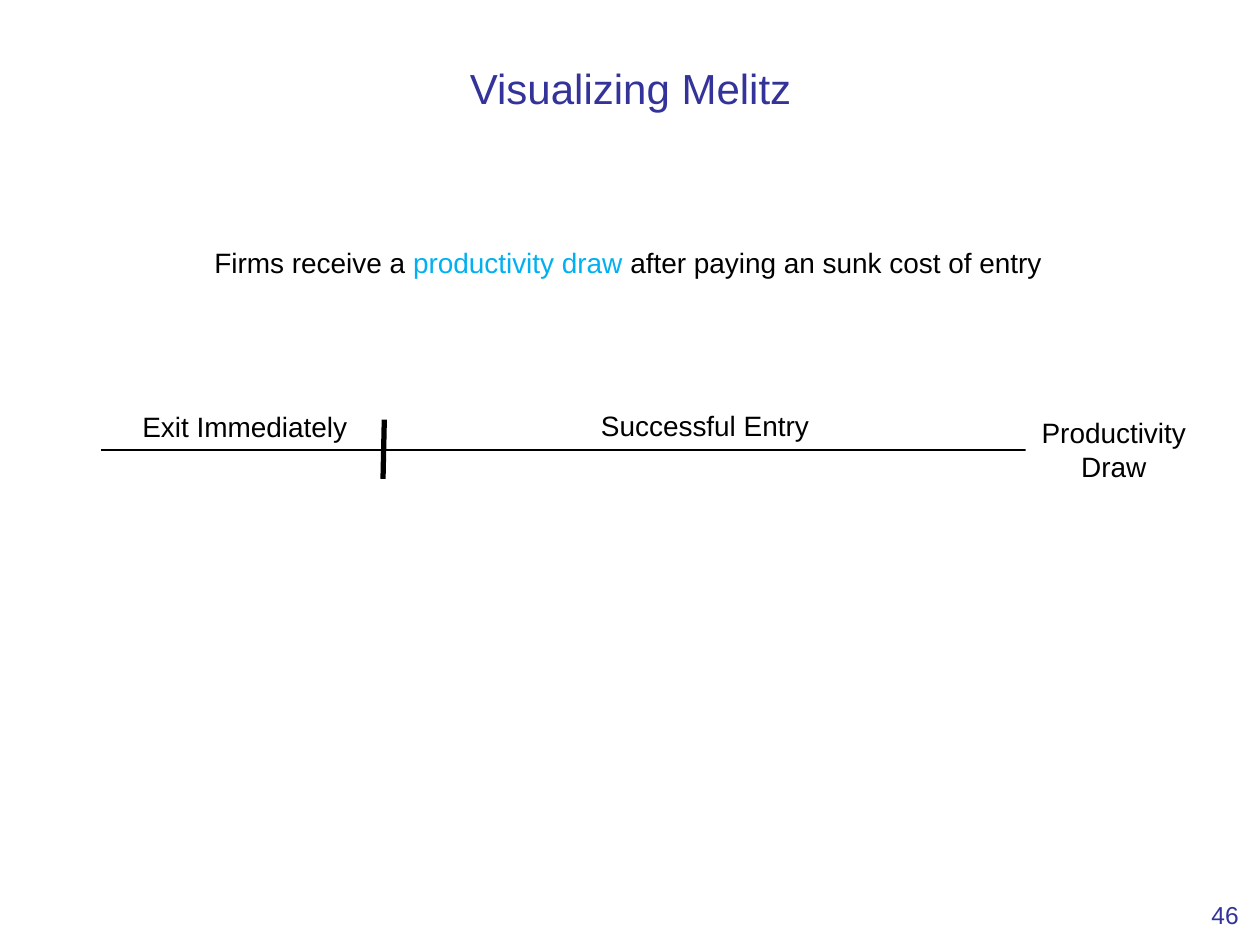
from pptx import Presentation
from pptx.dml.color import RGBColor
from pptx.enum.shapes import MSO_CONNECTOR, MSO_SHAPE
from pptx.enum.text import MSO_ANCHOR as ANCHOR, PP_ALIGN as ALIGN
from pptx.oxml.ns import qn
from pptx.util import Inches, Pt
from lxml.etree import SubElement

WIDTH, HEIGHT = 10, 7.5
BLACK, NAVY, SKY, WHITE = "000000", "333399", "00B0F0", "FFFFFF"
AXIS_Y = 3.57


def rgb(code):
    """Return the colour for a hex string."""
    return RGBColor.from_string(code)


def write(sp, *runs, size=16, color=BLACK, align=ALIGN.CENTER,
          anchor=ANCHOR.TOP, wrap=False, insets=(0.05, 0.05, 0.05, 0.05)):
    """Write runs, each a string or a (string, colour) pair, into a shape."""
    tf = sp.text_frame
    tf.word_wrap, tf.vertical_anchor = wrap, anchor
    (tf.margin_left, tf.margin_top,
     tf.margin_right, tf.margin_bottom) = map(Inches, insets)
    p = tf.paragraphs[0]
    p.alignment = align
    for run in runs:
        text, code = (run, color) if isinstance(run, str) else run
        r = p.add_run()
        r.text = text
        r.font.name, r.font.size = "Arial", Pt(size)
        r.font.color.rgb = rgb(code)


def add_label(s, box, *runs, **fmt):
    """Add a text box with formatted runs."""
    write(s.shapes.add_textbox(*map(Inches, box)), *runs, **fmt)


def add_plate(s, box, text):
    """Add a white rectangle with a wrapped label."""
    sp = s.shapes.add_shape(MSO_SHAPE.RECTANGLE, *map(Inches, box))
    sp.shadow.inherit = False
    sp.fill.solid()
    sp.fill.fore_color.rgb = rgb(WHITE)
    sp.line.fill.background()
    write(sp, text, wrap=True)


def add_line(s, start, end, weight):
    """Add a straight black line without a shadow."""
    sp = s.shapes.add_connector(MSO_CONNECTOR.STRAIGHT,
                                *map(Inches, (*start, *end)))
    sp.line.color.rgb = rgb(BLACK)
    sp.line.width = Pt(weight)
    SubElement(sp._element.spPr, qn("a:effectLst"))


def main():
    """Build the slide and save it."""
    prs = Presentation()
    prs.slide_width, prs.slide_height = Inches(WIDTH), Inches(HEIGHT)
    s = prs.slides.add_slide(prs.slide_layouts[6])

    add_label(s, (0.39, 0.3, 9.23, 0.79), "Visualizing Melitz", size=24,
              color=NAVY, anchor=ANCHOR.MIDDLE, wrap=True)
    add_line(s, (3.05, 3.33), (3.04, 3.8), 3)
    add_label(s, (1.08, 3.2, 1.75, 0.37), "Exit Immediately", align=ALIGN.LEFT)
    add_label(s, (4.72, 3.19, 1.77, 0.37), "Successful Entry", align=ALIGN.LEFT)
    add_line(s, (0.8, AXIS_Y), (8.5, AXIS_Y), 1)
    add_plate(s, (8.14, AXIS_Y - 0.32, 1.4, 0.64), "Productivity Draw")
    add_label(s, (1.61, 1.9, 6.75, 0.37), "Firms receive a ",
              ("productivity draw ", SKY), "after paying an sunk cost of entry")
    add_label(s, (9.39, 6.86, 0.54, 0.52), "46", size=14, color=NAVY,
              align=ALIGN.RIGHT, anchor=ANCHOR.BOTTOM, wrap=True,
              insets=(0.1, 0.05, 0.1, 0))

    prs.save("out.pptx")


if __name__ == "__main__":
    main()
